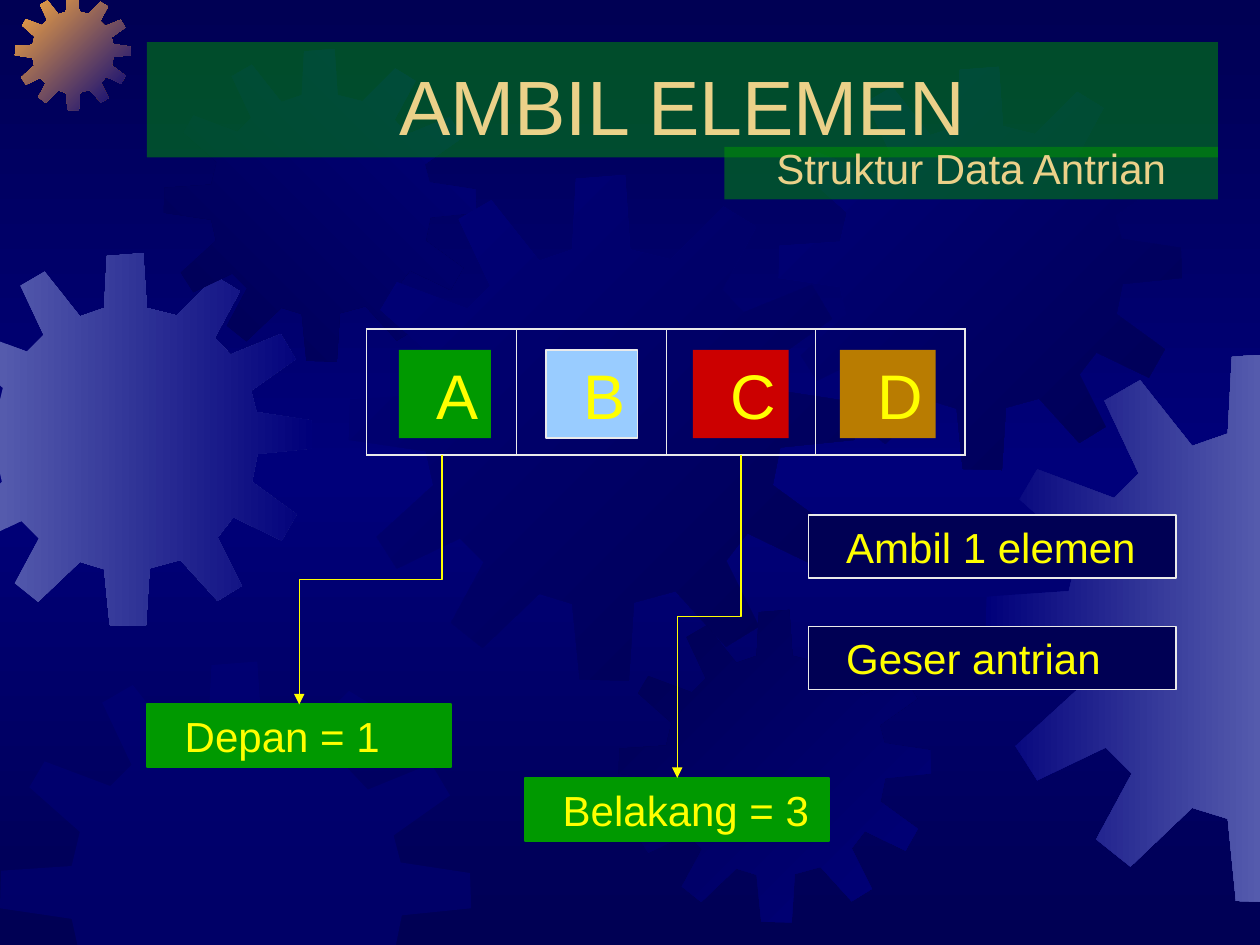
from copy import deepcopy

from lxml import etree
from pptx import Presentation
from pptx.dml.color import RGBColor
from pptx.enum.shapes import MSO_CONNECTOR, MSO_SHAPE
from pptx.enum.text import MSO_ANCHOR, MSO_AUTO_SIZE, PP_ALIGN
from pptx.oxml.ns import qn
from pptx.util import Pt

SLIDE_WIDTH, SLIDE_HEIGHT = 720, 540
COLORS = {
    "navy": "000054", "blue": "00007A", "lavender": "555BAD", "orange": "FCAB40",
    "green": "009900", "sand": "EBD189", "yellow": "FFFF00", "white": "EAEAEA",
    "sky": "99CCFF", "red": "CC0000", "brown": "B97C01",
}
GEAR_SIZE = 401
GEAR_OUTLINE = [
    (255, 67), (223, 59), (219, 0), (180, 3), (177, 59), (151, 68), (113, 20), (87, 35),
    (112, 88), (94, 106), (38, 85), (25, 107), (68, 145), (61, 174), (1, 178), (0, 210),
    (61, 219), (67, 246), (22, 287), (38, 312), (88, 288), (107, 307), (81, 355), (106, 375),
    (151, 332), (177, 340), (183, 400), (222, 401), (226, 339), (259, 330), (299, 374),
    (325, 358), (299, 306), (316, 284), (368, 309), (384, 281), (336, 246), (342, 216),
    (401, 210), (400, 180), (341, 171), (335, 148), (383, 114), (367, 87), (313, 109),
    (296, 91), (323, 41), (297, 25),
]
# left, top, size, first colour, last colour, angle
GEARS = [
    (-34.5, 144.7, 213, "lavender", "blue", 0),
    (8.6, -3, 66, "orange", "blue", 45),
    (93.6, 28, 178.6, "navy", "blue", 315),
    (199.4, 100, 289, "blue", "navy", 45),
    (0, 378, 269.3, "blue", None, 0),
    (353.5, 348.5, 178.6, "navy", "blue", 45),
    (445, 38.2, 230.4, "blue", "navy", 45),
    (563, 201.6, 314, "blue", "lavender", 0),
]


def rgb(name):
    return RGBColor.from_string(COLORS[name])


def fill_gradient(fill, first, last, angle):
    """Angle is clockwise in degrees."""
    fill.gradient()
    fill.gradient_angle = (360 - angle) % 360
    for stop, name, position in zip(fill.gradient_stops, (first, last), (0, 1)):
        stop.color.rgb = rgb(name)
        stop.position = position


def fill_half_clear(shape, name):
    shape.fill.solid()
    shape.fill.fore_color.rgb = rgb(name)
    color = shape._element.spPr.find(".//" + qn("a:srgbClr"))
    etree.SubElement(color, qn("a:alpha"), val="50000")


def paint_background(slide):
    fill = slide.background.fill
    fill_gradient(fill, "navy", "navy", 90)
    stops = slide._element.find(".//" + qn("a:gsLst"))
    middle = deepcopy(stops[0])
    middle.set("pos", "50000")
    middle.find(qn("a:srgbClr")).set("val", COLORS["blue"])
    stops.insert(1, middle)


def clip(points, axis, limit, side):
    """Cut a polygon at a limit on one axis; side 1 keeps what is above it, -1 below."""
    kept = []
    for start, end in zip(points, points[1:] + points[:1]):
        start_inside = (start[axis] - limit) * side >= 0
        end_inside = (end[axis] - limit) * side >= 0
        if start_inside:
            kept.append(start)
        if start_inside != end_inside:
            share = (limit - start[axis]) / (end[axis] - start[axis])
            kept.append(tuple(a + share * (b - a) for a, b in zip(start, end)))
    return kept


def add_gear(slide, left, top, size, first, last, angle):
    scale = size / GEAR_SIZE
    points = [(left + x * scale, top + y * scale) for x, y in GEAR_OUTLINE]
    for axis, limit in enumerate((SLIDE_WIDTH, SLIDE_HEIGHT)):
        points = clip(clip(points, axis, 0, 1), axis, limit, -1)
    corners = [(Pt(x), Pt(y)) for x, y in points]
    builder = slide.shapes.build_freeform(*corners[0])
    builder.add_line_segments(corners[1:], close=True)
    gear = builder.convert_to_shape()
    gear.shadow.inherit = False
    gear.line.fill.background()
    if last:
        fill_gradient(gear.fill, first, last, angle)
    else:
        fill_half_clear(gear, first)


def write(shape, text, size, color, align, anchor):
    frame = shape.text_frame
    frame.vertical_anchor = anchor
    paragraph = frame.paragraphs[0]
    paragraph.alignment = align
    run = paragraph.add_run()
    run.text = text
    run.font.name = "Arial"
    run.font.size = Pt(size)
    run.font.color.rgb = rgb(color)


def add_rectangle(slide, left, top, width, height):
    shape = slide.shapes.add_shape(MSO_SHAPE.RECTANGLE, Pt(left), Pt(top), Pt(width), Pt(height))
    shape.shadow.inherit = False
    shape.line.fill.background()
    shape.text_frame.word_wrap = True
    return shape


def add_heading(slide, left, top, width, height):
    title = slide.shapes.title
    title.left, title.top, title.width, title.height = Pt(left), Pt(top), Pt(width), Pt(height)
    title.text_frame.auto_size = MSO_AUTO_SIZE.NONE
    slide.shapes._spTree.append(title._element)  # in front of the gears
    subtitle = add_rectangle(slide, left + width - 282, top + 60, 282, 30)
    for shape, text, size in ((title, "AMBIL ELEMEN", 44), (subtitle, "Struktur Data Antrian", 24)):
        fill_half_clear(shape, "green")
        write(shape, text, size, "sand", PP_ALIGN.CENTER, MSO_ANCHOR.BOTTOM)


def add_label(slide, text, left, top, width, height, fill, line=None, line_width=1,
              size=24, align=PP_ALIGN.LEFT, wrap=True):
    shape = add_rectangle(slide, left, top, width, height)
    shape.fill.solid()
    shape.fill.fore_color.rgb = rgb(fill)
    if line:
        shape.line.color.rgb = rgb(line)
        shape.line.width = Pt(line_width)
    frame = shape.text_frame
    frame.margin_left = Pt(21.6)
    frame.word_wrap = wrap
    frame.auto_size = MSO_AUTO_SIZE.SHAPE_TO_FIT_TEXT
    write(shape, text, size, "yellow", align, MSO_ANCHOR.MIDDLE)


def set_border(cell, side, width):
    line = etree.SubElement(cell._tc.get_or_add_tcPr(), qn("a:ln" + side), w=str(Pt(width)))
    fill = etree.SubElement(line, qn("a:solidFill"))
    etree.SubElement(fill, qn("a:srgbClr"), val=COLORS["white"])


def add_queue(slide, left, top, width, height):
    items = [("A", "green", None, 52.5), ("B", "sky", "white", 52.5),
             ("C", "red", None, 54.7), ("D", "brown", None, 54.7)]
    for index, (letter, fill, line, item_width) in enumerate(items):
        add_label(slide, letter, left + 18.5 + 84 * index, top + 12, item_width, 50.4, fill,
                  line, 0.75, 36, PP_ALIGN.CENTER, False)
    table = slide.shapes.add_table(1, len(items), Pt(left), Pt(top), Pt(width), Pt(height)).table
    table.first_row = table.horz_banding = False
    last = len(items) - 1
    for index, cell in enumerate(table.iter_cells()):
        set_border(cell, "L", 1.08 if index == 0 else 0.45)
        set_border(cell, "R", 1.08 if index == last else 0.45)
        set_border(cell, "T", 1.08)
        set_border(cell, "B", 1.08)
        cell.fill.background()


def add_pointer(slide, start_x, start_y, end_x, end_y):
    """Elbow arrow that leaves downwards and ends downwards to the left."""
    center_x, center_y = (start_x + end_x) / 2, (start_y + end_y) / 2
    half_run, half_rise = (end_y - start_y) / 2, (start_x - end_x) / 2
    pointer = slide.shapes.add_connector(
        MSO_CONNECTOR.ELBOW, Pt(center_x - half_run), Pt(center_y - half_rise),
        Pt(center_x + half_run), Pt(center_y + half_rise))
    properties = pointer._element.spPr
    properties.find(qn("a:xfrm")).set("rot", "5400000")
    pointer.line.color.rgb = rgb("yellow")
    pointer.line.width = Pt(0.75)
    etree.SubElement(properties.find(qn("a:ln")), qn("a:tailEnd"), type="triangle")
    etree.SubElement(properties, qn("a:effectLst"))


def main():
    presentation = Presentation()
    presentation.slide_width, presentation.slide_height = Pt(SLIDE_WIDTH), Pt(SLIDE_HEIGHT)
    slide = presentation.slides.add_slide(presentation.slide_layouts[5])
    paint_background(slide)
    for gear in GEARS:
        add_gear(slide, *gear)
    add_heading(slide, 84, 24, 612, 66)
    add_queue(slide, 209.5, 188, 342, 72)
    for text, top in (("Ambil 1 elemen", 294.5), ("Geser antrian", 358)):
        add_label(slide, text, 462, top, 210, 36, "navy", "white")
    for text, left, top, start_x in (("Depan = 1", 84, 402.5, 252.5),
                                     ("Belakang = 3", 300, 444.5, 423.5)):
        add_label(slide, text, left, top, 174, 36, "green", "green")
        add_pointer(slide, start_x, 260, left + 87, top)
    presentation.save("out.pptx")


if __name__ == "__main__":
    main()
